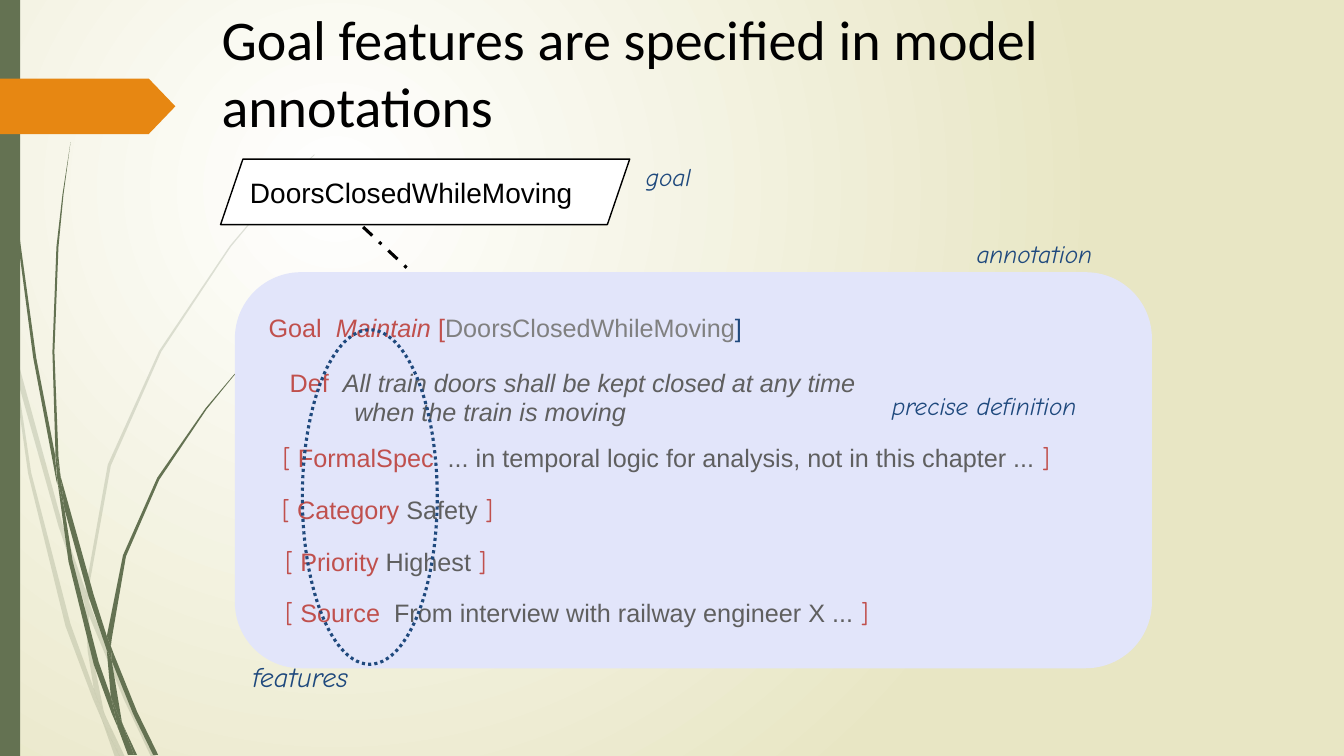
from lxml import etree
from pptx import Presentation
from pptx.dml.color import RGBColor
from pptx.enum.dml import MSO_LINE
from pptx.enum.shapes import MSO_CONNECTOR, MSO_SHAPE
from pptx.enum.text import MSO_ANCHOR, MSO_AUTO_SIZE, PP_ALIGN
from pptx.oxml.ns import qn
from pptx.util import Cm, Pt

RECTANGLE, PENTAGON, OVAL = MSO_SHAPE.RECTANGLE, MSO_SHAPE.PENTAGON, MSO_SHAPE.OVAL
ROUNDED, PARALLELOGRAM = MSO_SHAPE.ROUNDED_RECTANGLE, MSO_SHAPE.PARALLELOGRAM
STRAIGHT = MSO_CONNECTOR.STRAIGHT
DASH_DOT, ROUND_DOT = MSO_LINE.DASH_DOT, MSO_LINE.ROUND_DOT
LEFT, MIDDLE, NO_AUTOFIT = PP_ALIGN.LEFT, MSO_ANCHOR.MIDDLE, MSO_AUTO_SIZE.NONE

WHITE = RGBColor(0xFF, 0xFF, 0xFF)
BLACK = RGBColor(0, 0, 0)
CREAM = RGBColor(0xE8, 0xE6, 0xC4)
GREEN = RGBColor(0x64, 0x72, 0x52)
ORANGE = RGBColor(0xE7, 0x87, 0x12)
LAVENDER = RGBColor(0xE2, 0xE5, 0xFA)
RED = RGBColor(0xC0, 0x50, 0x4D)
NAVY = RGBColor(0x1F, 0x49, 0x7D)
GREY = RGBColor(0x80, 0x80, 0x80)
DARK_GREY = RGBColor(0x5F, 0x5F, 0x5F)
SANS, HAND = "Arial", "Comic Neue"
GOAL_NAME = "DoorsClosedWhileMoving"

# Outlines of the grass blades: x, y pairs on a fine grid
GRID = Cm(0.0254)
PALE_BLADES = [
    (11, 350, 9, 322, 0, 282, 0, 299, 10, 344),
    (58, 522, 84, 599, 85, 586, 62, 520, 14, 345, 17, 376),
    (92, 607, 88, 596, 88, 610, 123, 694, 150, 751, 155, 751, 127, 692),
    (119, 751, 124, 751, 105, 711),
    (93, 683, 70, 619, 31, 469, 17, 376, 11, 350, 28, 470, 65, 621, 92, 693, 101, 714, 99, 707),
    (84, 599, 87, 646, 93, 683, 96, 692, 105, 711, 103, 706, 91, 646, 88, 610, 88, 608),
    (88, 584, 110, 462, 160, 349, 229, 245, 268, 198, 290, 175, 312, 154, 312, 153, 289, 175,
     268, 197, 228, 244, 158, 348, 107, 461, 85, 584, 85, 586, 88, 596),
    (101, 714, 114, 751, 119, 751),
    (88, 608, 88, 610, 88, 596, 85, 586, 84, 599),
    (96, 692, 93, 683, 99, 707, 101, 714, 119, 751, 105, 711),
]
DARK_BLADES = [
    (7, 110, 17, 233, 33, 355, 56, 477, 57, 481, 55, 457, 55, 453, 36, 355, 19, 232, 8, 109,
     5, 48, 4, 0, 3, 0, 4, 48),
    (88, 592, 106, 645, 106, 633, 106, 631, 93, 590, 60, 472, 64, 505),
    (113, 649, 110, 641, 111, 656, 132, 708, 152, 749, 157, 749, 136, 706),
    (110, 691, 98, 657, 72, 556, 64, 505, 57, 477, 68, 557, 93, 659, 111, 708, 117, 722, 116, 717),
    (60, 472, 58, 453, 54, 349, 58, 245, 63, 193, 70, 141, 62, 193, 56, 245, 52, 349, 55, 449),
    (133, 749, 136, 749, 122, 719),
    (57, 477, 64, 505, 60, 472, 55, 449, 55, 453),
    (111, 633, 125, 552, 158, 476, 205, 406, 231, 374, 245, 359, 261, 344, 260, 344, 245, 358,
     231, 373, 204, 405, 156, 474, 122, 551, 106, 631, 110, 641),
    (117, 722, 127, 749, 131, 749),
    (106, 645, 110, 691, 116, 706, 122, 719, 121, 716, 111, 656, 109, 651),
    (106, 645, 109, 651, 111, 656, 110, 641, 106, 631, 106, 633),
    (116, 706, 110, 691, 116, 717, 117, 722, 130, 749, 133, 749, 122, 719),
]


def feature(name, value):
    """Runs of a bracketed feature line."""
    return [("[", RED, HAND, False), (f" {name} ", RED, SANS, False),
            (f"{value} ", DARK_GREY, SANS, False), ("]", RED, HAND, False)]


# Indent in cm, line spacing, space before in points, runs
ANNOTATION = [
    (1.8, 0.9, 0, [("Goal  ", RED, SANS, False), ("Maintain", RED, SANS, True), (" [", RED, SANS, False),
                   (GOAL_NAME, GREY, SANS, False), ("]", NAVY, SANS, False)]),
    (2.33, 1.5, 6.9, [("Def  ", RED, SANS, False),
                      ("All train doors shall be kept closed at any time", DARK_GREY, SANS, True)]),
    (3.96, 0.6, 6.2, [("when the train is moving", DARK_GREY, SANS, True)]),
    (2.16, 1.3, 6.2, feature("FormalSpec ", "... in temporal logic for analysis, not in this chapter ...")),
    (2.14, 1.25, 10, feature("Category", "Safety")),
    (2.22, 1.25, 10, feature("Priority", "Highest")),
    (2.22, 1.25, 10, feature("Source ", "From interview with railway engineer X ...")),
]

# Text, left, top, width, height in cm, size in points
LABELS = [
    ("precise definition", 22.23, 9.7, 5.77, 1.04, 18),
    ("goal", 16.03, 3.94, 2.26, 1.02, 18),
    ("features", 6.12, 16.48, 3.4, 1.12, 20),
    ("annotation", 24.36, 5.87, 3.63, 1.04, 18),
]


def set_values(target, values):
    for name, value in values.items():
        setattr(target, name, value)


def set_font(font, color, **values):
    set_values(font, values)
    font.color.rgb = color


def paint_background(slide):
    fill = slide.background.fill
    fill.gradient()
    for stop, color in zip(fill.gradient_stops, (WHITE, CREAM)):
        stop.color.rgb = color
    gradient = slide.background._cSld.find(".//" + qn("a:gradFill"))
    gradient.remove(gradient.find(qn("a:lin")))
    circle = etree.SubElement(gradient, qn("a:path"), path="circle")
    etree.SubElement(circle, qn("a:fillToRect"), l="50000", t="50000", r="100000", b="100000")


def add_blade(slide, outline, opacity=100):
    points = list(zip(outline[::2], outline[1::2]))
    builder = slide.shapes.build_freeform(*points[0], scale=GRID)
    builder.add_line_segments(points[1:], close=True)
    blade = builder.convert_to_shape()
    blade.shadow.inherit = False
    blade.line.fill.background()
    blade.fill.solid()
    blade.fill.fore_color.rgb = GREEN
    if opacity < 100:
        color = blade._element.spPr.find(qn("a:solidFill"))[0]
        etree.SubElement(color, qn("a:alpha"), val=str(opacity * 1000))


def add_shape(slide, kind, box, fill=None, line=None, adjustment=None, **line_values):
    shape = slide.shapes.add_shape(kind, *map(Cm, box))
    shape.shadow.inherit = False
    if adjustment is not None:
        shape.adjustments[0] = adjustment
    for part, color in ((shape.fill, fill), (shape.line.fill, line)):
        if color is None:
            part.background()
        else:
            part.solid()
            part.fore_color.rgb = color
    set_values(shape.line, line_values)


def add_text(slide, box, wrap=False):
    frame = slide.shapes.add_textbox(*map(Cm, box)).text_frame
    set_values(frame, {"word_wrap": wrap, "vertical_anchor": MIDDLE})
    return frame


def add_label(slide, text, box, color, **values):
    paragraph = add_text(slide, box).paragraphs[0]
    paragraph.text = text
    set_font(paragraph.font, color, **values)


def add_annotation(slide):
    frame = add_text(slide, (4.72, 5.17, 24.92, 13.44), wrap=True)
    for index, (indent, spacing, before, runs) in enumerate(ANNOTATION):
        paragraph = frame.add_paragraph() if index else frame.paragraphs[0]
        paragraph._p.get_or_add_pPr().set("marL", str(Cm(indent)))
        set_values(paragraph, {"line_spacing": spacing, "space_before": Pt(before)})
        for text, color, name, italic in runs:
            run = paragraph.add_run()
            run.text = text
            set_font(run.font, color, name=name, italic=italic, size=Pt(18))


def add_link(slide):
    link = slide.shapes.add_connector(STRAIGHT, Cm(9.15), Cm(5.72), Cm(10.35), Cm(6.84))
    link.line.color.rgb = BLACK
    set_values(link.line, {"width": Pt(2.25), "dash_style": DASH_DOT})
    etree.SubElement(link._element.spPr, qn("a:effectLst"))


def set_title(slide, text):
    title = slide.shapes.title
    set_values(title, {"left": Cm(5.33), "top": Cm(0.75), "width": Cm(24.92), "height": Cm(2.11)})
    frame = title.text_frame
    frame.text = text
    set_values(frame, {"auto_size": NO_AUTOFIT, "word_wrap": True, "vertical_anchor": MIDDLE})
    frame.paragraphs[0].alignment = LEFT
    set_font(frame.paragraphs[0].font, BLACK, name="Calibri", size=Pt(40))


def main():
    presentation = Presentation()
    set_values(presentation, {"slide_width": Cm(33.87), "slide_height": Cm(19.05)})
    slide = presentation.slides.add_slide(presentation.slide_layouts[5])
    paint_background(slide)
    for blades, opacity in ((PALE_BLADES, 20), (DARK_BLADES, 100)):
        for outline in blades:
            add_blade(slide, outline, opacity)
    add_shape(slide, RECTANGLE, (0, 0, 0.51, 19.05), GREEN)
    add_shape(slide, PENTAGON, (0, 1.98, 4.42, 1.4), ORANGE, adjustment=0.48)
    set_title(slide, "Goal features are specified in model annotations")
    add_shape(slide, ROUNDED, (5.92, 6.86, 23.11, 9.98), LAVENDER, adjustment=0.167)
    add_annotation(slide)
    add_shape(slide, PARALLELOGRAM, (5.56, 4.01, 10.31, 1.65), WHITE, BLACK, 0.341, width=Pt(1))
    add_label(slide, GOAL_NAME, (6.05, 4.29, 8.71, 1.12), BLACK, name=SANS, size=Pt(20))
    add_link(slide)
    for text, *box, size in LABELS:
        add_label(slide, text, box, NAVY, name=HAND, size=Pt(size), italic=True)
    add_shape(slide, OVAL, (7.62, 8.31, 3.4, 8.43), line=NAVY, width=Pt(2.25), dash_style=ROUND_DOT)
    presentation.save("out.pptx")


if __name__ == "__main__":
    main()
